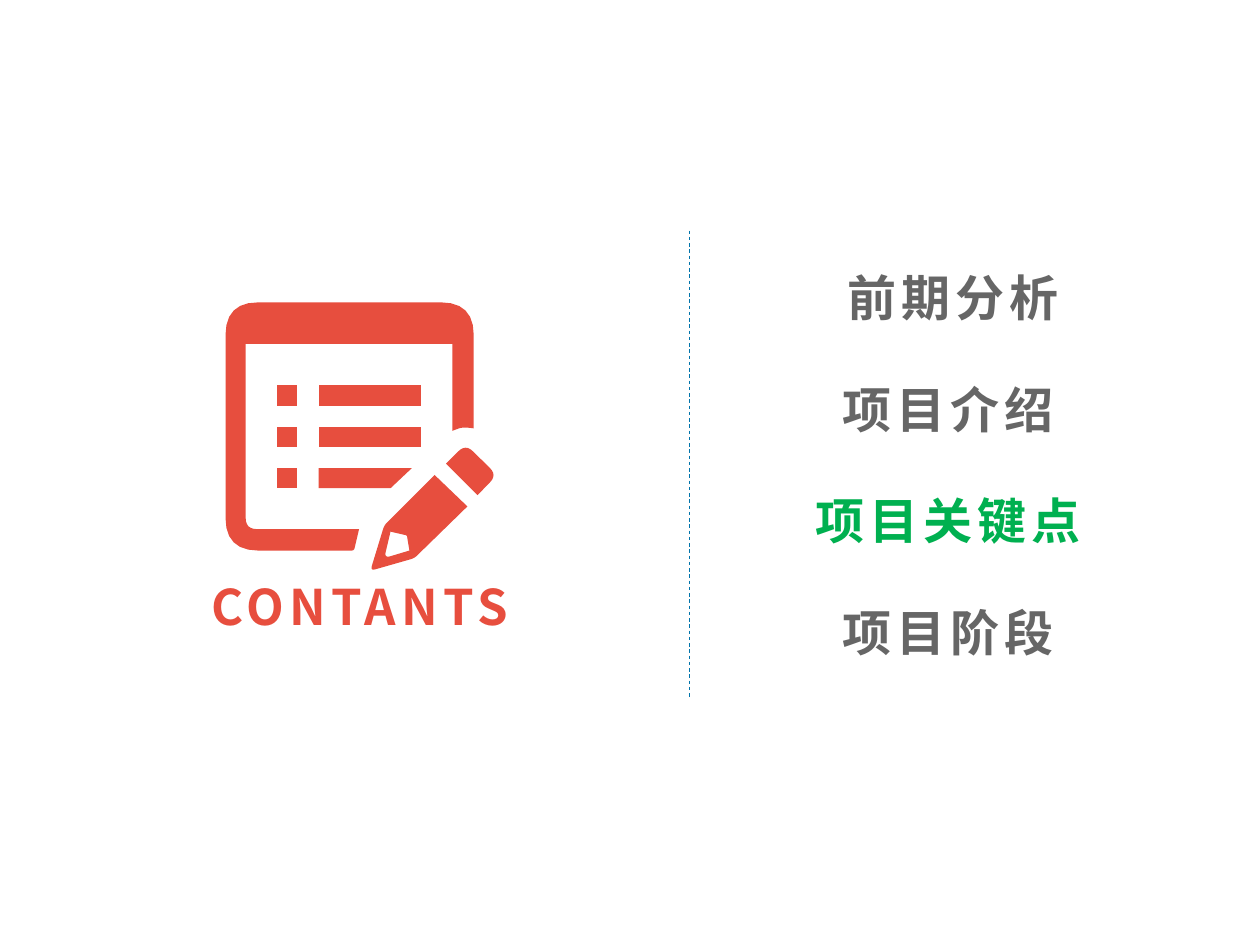
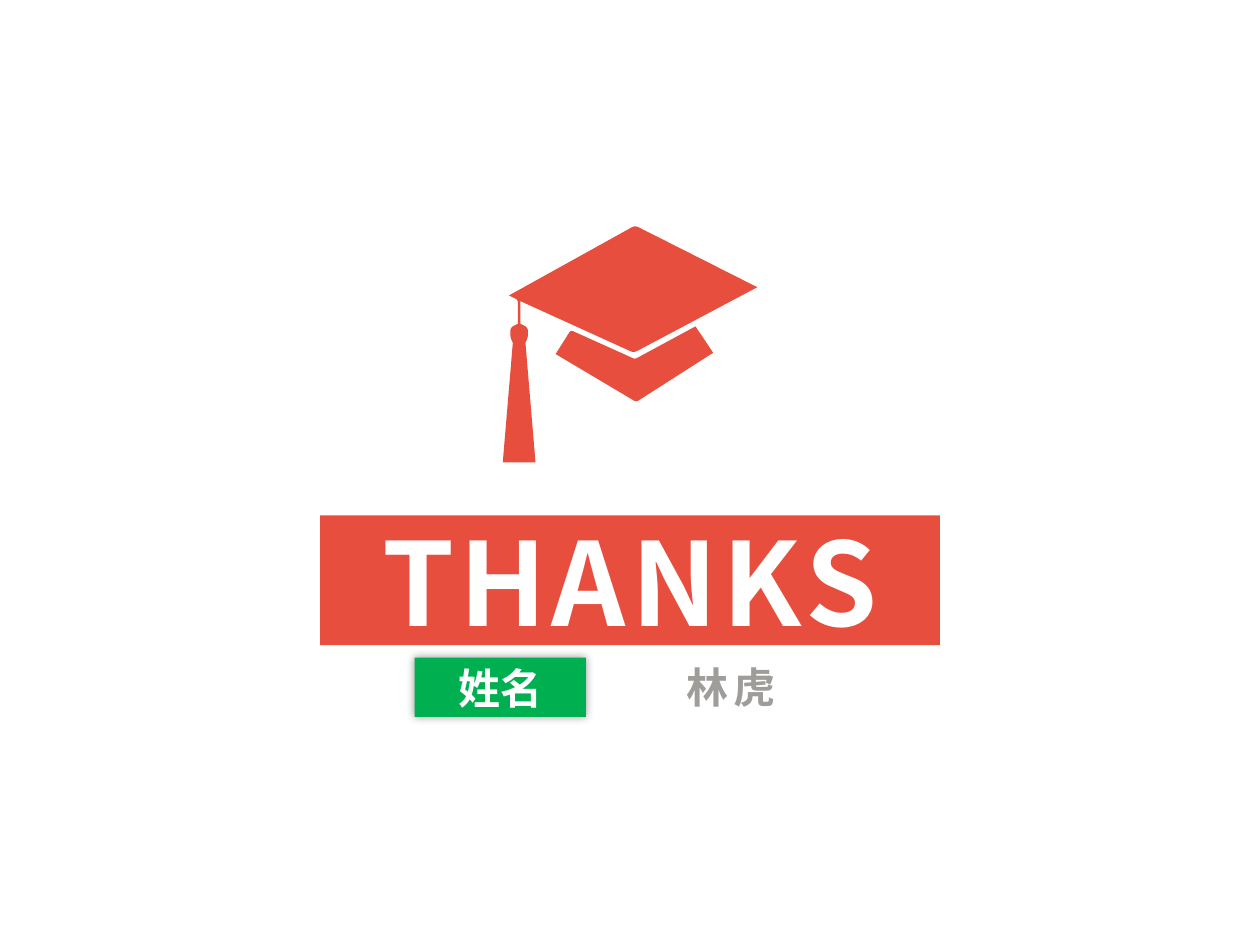
from math import hypot
from lxml import etree
from pptx import Presentation
from pptx.dml.color import RGBColor
from pptx.enum.dml import MSO_LINE
from pptx.enum.shapes import MSO_CONNECTOR, MSO_SHAPE
from pptx.enum.text import MSO_ANCHOR, MSO_AUTO_SIZE, PP_ALIGN
from pptx.oxml.ns import qn
from pptx.util import Inches, Pt

DASH, LINE = MSO_LINE.DASH, MSO_CONNECTOR.STRAIGHT
RECT, MIDDLE, TOP = MSO_SHAPE.RECTANGLE, MSO_ANCHOR.MIDDLE, MSO_ANCHOR.TOP
FIXED, CENTER = MSO_AUTO_SIZE.NONE, PP_ALIGN.CENTER

# Shared look: a grid of 10 columns by 7.5 rows, one font, six colours
COLS, ROWS = 10, 7.5
CELL = Inches(1)
FONT = "Noto Sans CJK SC"
RED, GREEN, GREY, PALE, WHITE = "E74E3E", "00B050", "666666", "9F9D9A", "FFFFFF"
BLUE = "0174AB"


def color(code):
    return RGBColor.from_string(code)


def grid(*values):
    return [round(v * CELL) for v in values]


def place(shape, box):
    for name, value in zip(("left", "top", "width", "height"), grid(*box)):
        setattr(shape, name, value)


def paint(shape, code):
    shape.fill.solid()
    shape.fill.fore_color.rgb = color(code)


def frame(shape, wrap=False, anchor=MIDDLE):
    text = shape.text_frame
    form = {"word_wrap": wrap, "auto_size": FIXED, "vertical_anchor": anchor,
            "margin_top": 0, "margin_bottom": 0}
    for name, value in form.items():
        setattr(text, name, value)
    return text


def write(para, words, size, code, track=3):
    para.alignment = CENTER
    run = para.add_run()
    run.text = words
    for name, value in {"size": Pt(size), "bold": True, "name": FONT}.items():
        setattr(run.font, name, value)
    run.font.color.rgb = color(code)
    props = run.font._element
    props.set("spc", str(track * 100))
    etree.SubElement(props, qn("a:ea")).set("typeface", FONT)


def label(shape, box, words, size, code, track=3):
    place(shape, box)
    write(frame(shape).paragraphs[0], words, size, code, track)


def curve(points, steps=6):
    """Round each corner (x, y, radius) of an outline; no radius is sharp."""
    out = []
    for i, (x, y, *rad) in enumerate(points):
        if not rad:
            out.append((x, y))
            continue
        ends = []
        for px, py, *_ in (points[i - 1], points[(i + 1) % len(points)]):
            part = rad[0] / hypot(px - x, py - y)
            ends.append((x + (px - x) * part, y + (py - y) * part))
        (ax, ay), (bx, by) = ends
        for k in range(steps + 1):
            t = k / steps
            u, m, v = (1 - t) ** 2, 2 * t * (1 - t), t * t
            out.append((u * ax + m * x + v * bx, u * ay + m * y + v * by))
    return out


def draw(slide, box, units, *loops):
    """Draw one filled outline; the box is that many units wide."""
    left, top, wide, _ = box
    step = wide / units
    build = None
    for loop in loops:
        pts = [grid(left + x * step, top + y * step) for x, y in curve(loop)]
        if build is None:
            build = slide.shapes.build_freeform(*pts[0], scale=1.0)
        else:
            build.move_to(*pts[0])
        build.add_line_segments(pts[1:], close=True)
    shape = build.convert_to_shape()
    shape.shadow.inherit = False
    paint(shape, RED)
    shape.line.fill.background()


# Icons, in hundredths of a column
def note(slide, box):
    sheet = [(106, 180), (102, 197, 2), (0, 197, 26), (0, 0, 26), (197, 0, 26),
             (197, 100), (188, 99, 4), (180, 102), (180, 33), (16, 33),
             (16, 180, 9)]
    pen = [(166, 137), (192, 162), (150, 203, 3), (115, 213, 4), (126, 177, 3)]
    nib = [(131, 182), (144, 185, 1), (146, 197), (126, 203, 5)]
    end = [(175, 128), (190.5, 112.5, 8), (215.5, 137, 8), (200, 153)]
    for loops in ([sheet], [pen, nib], [end]):
        draw(slide, box, 213, *loops)
    for y, right, low in ((66, 155, 155), (99, 155, 155), (131.5, 148, 131)):
        base = y + 16
        draw(slide, box, 213, [(41, y), (57, y), (57, base), (41, base)])
        draw(slide, box, 213, [(74, y), (right, y), (low, base), (74, base)])


def cap(slide, box):
    board = [(14, 60), (14, 78), (20, 81, 3), (20, 89, 3), (18, 93), (26, 188),
             (0, 188), (8, 93), (6, 89, 3), (6, 81, 3), (12, 78), (12, 59, 2),
             (5, 55.5), (105, 0, 3), (202, 49), (104, 101, 3)]
    band = [(42, 102), (54, 83, 2), (105, 106, 2), (153, 80), (167, 101),
            (106, 140, 2)]
    for loop in (board, band):
        draw(slide, box, 202, loop)


# Contents slide
def rule(slide, x, top, base):
    line = slide.shapes.add_connector(LINE, *grid(x, top, x, base))
    line.line.color.rgb = color(BLUE)
    line.line.width = Pt(0.5)
    line.line.dash_style = DASH
    etree.SubElement(line._element.spPr, qn("a:effectLst"))


def items(shape, box, rows, mark):
    place(shape, box)
    text = frame(shape, True, TOP)
    for i, words in enumerate(rows):
        para = text.paragraphs[0] if i == 0 else text.add_paragraph()
        para.space_before = Pt(30.3 if i else 0)
        props = para._p.get_or_add_pPr()
        props.set("marL", str(0 if i else Inches(0.08)))
        props.set("indent", "0")
        etree.SubElement(props, qn("a:buNone"))
        write(para, words, 28, GREEN if i == mark else GREY)


def contents(deck):
    slide = deck.slides.add_slide(deck.slide_layouts[1])
    rule(slide, 5.47, 1.83, 5.53)
    note(slide, (1.79, 2.4, 2.13, 2.13))
    label(slide.shapes.title, (1.4, 4.52, 2.91, 0.57), "CONTANTS", 28, RED)
    items(slide.placeholders[1], (6.32, 2.12, 2.41, 3.26),
          ("前期分析", "项目介绍", "项目关键点", "项目阶段"), 2)


# Closing slide
def glow(shape):
    effect = etree.SubElement(shape._element.spPr, qn("a:effectLst"))
    shade = etree.SubElement(effect, qn("a:outerShdw"), blurRad=str(Pt(5)),
                             dist="0", dir="0", algn="ctr", rotWithShape="0")
    tint = etree.SubElement(shade, qn("a:srgbClr"), val="000000")
    etree.SubElement(tint, qn("a:alpha"), val="40000")


def person(slide, box, key, name):
    left, top, wide, high = box
    tag = slide.shapes.add_shape(RECT, *grid(left, top, 1.36, high))
    paint(tag, GREEN)
    tag.line.fill.background()
    glow(tag)
    label(tag, (left, top, 1.36, high), key, 24, WHITE, 0)
    area = (left + 1.6, top - 0.02, wide - 1.6, high + 0.03)
    label(slide.shapes.add_textbox(*grid(*area)), area, name, 24, PALE)


def closing(deck):
    slide = deck.slides.add_slide(deck.slide_layouts[5])
    paint(slide.shapes.title, RED)
    label(slide.shapes.title, (2.54, 4.09, 4.92, 1.03), "THANKS", 66, WHITE)
    person(slide, (3.29, 5.22, 3.42, 0.47), "姓名", "林虎")
    cap(slide, (3.99, 1.79, 2.02, 1.88))


deck = Presentation()
deck.slide_width, deck.slide_height = grid(COLS, ROWS)
contents(deck)
closing(deck)
deck.save("out.pptx")
